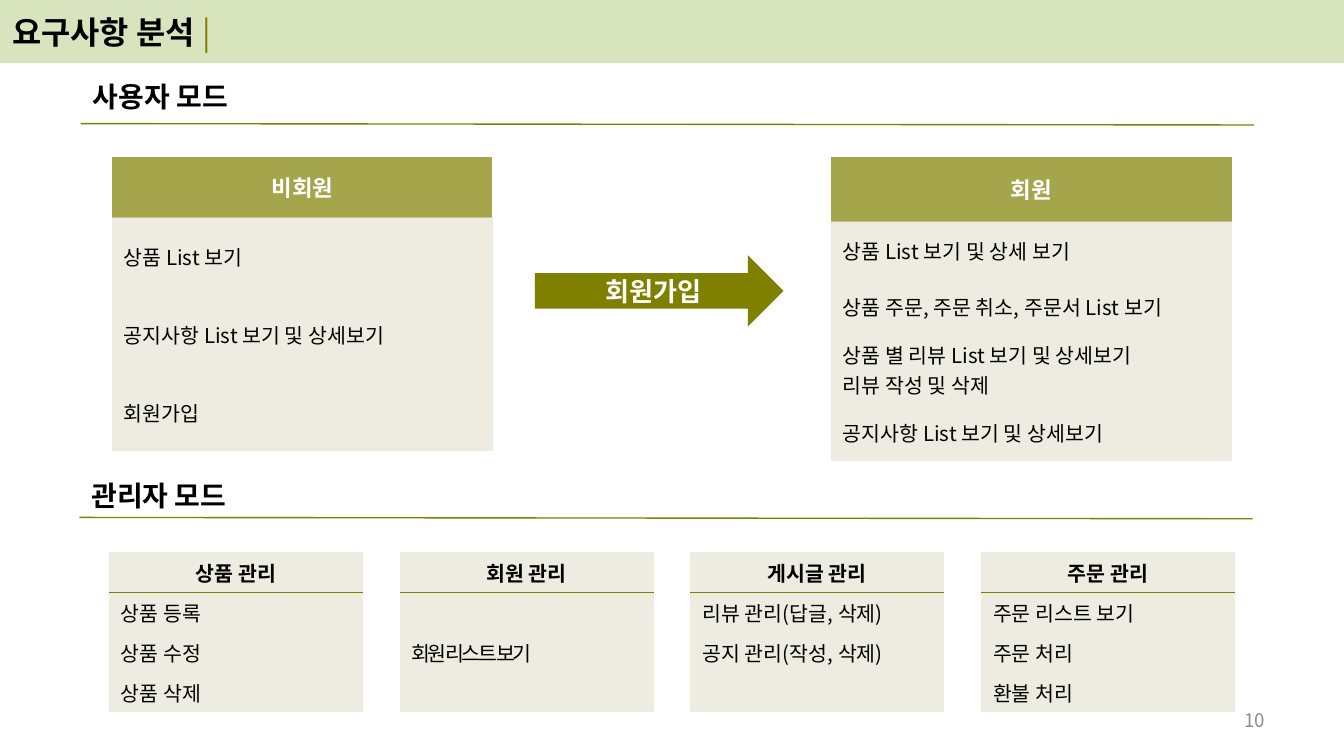
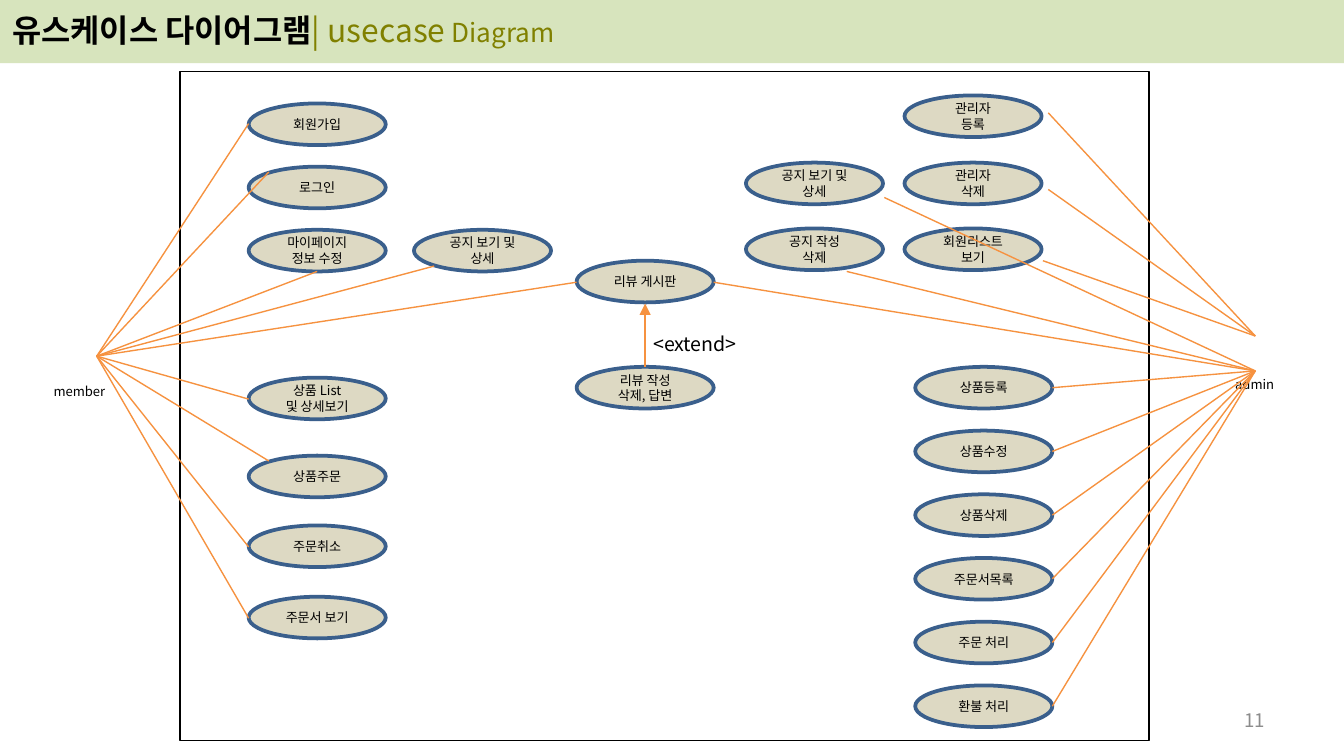
from dataclasses import dataclass

from lxml import etree
from pptx import Presentation
from pptx import util as u
from pptx.dml.color import RGBColor
from pptx.enum import shapes, text
from pptx.oxml.ns import qn


@dataclass(frozen=True)
class Theme:
    font: str = "Noto Sans CJK KR"
    black: str = "000000"
    white: str = "FFFFFF"
    olive: str = "808000"
    band: str = "D7E4BD"
    cell: str = "EEECE1"
    oval: str = "DDD9C3"
    oval_edge: str = "3A5F8C"
    link: str = "F69240"
    gray: str = "8C8C8C"
    title: float = 17
    section: float = 15
    large: float = 14
    header: float = 12
    body: float = 11
    extend: float = 10.5
    number: float = 10
    small: float = 7


theme = Theme()
LEFT, CENTER, RIGHT = text.PP_ALIGN.LEFT, text.PP_ALIGN.CENTER, text.PP_ALIGN.RIGHT
MIDDLE, TOP = text.MSO_ANCHOR.MIDDLE, text.MSO_ANCHOR.TOP


def write(frame, words, size, color=theme.black, bold=False, align=LEFT, anchor=MIDDLE):
    frame.text = words
    frame.word_wrap = True
    frame.vertical_anchor = anchor
    frame.margin_left = frame.margin_right = u.Inches(0.09)
    frame.margin_top = frame.margin_bottom = u.Inches(0.04)
    for para in frame.paragraphs:
        para.alignment = align
        font = para.font
        font.size, font.bold = u.Pt(size), bold
        font.color.rgb = RGBColor.from_string(color)
        font.name = theme.font
        etree.SubElement(font._element, qn("a:ea"), typeface=theme.font)


def connect(page, start, end, color, arrow=False):
    line = page.shapes.add_connector(
        shapes.MSO_CONNECTOR.STRAIGHT, *(u.Inches(value) for value in start + end))
    line.line.color.rgb = RGBColor.from_string(color)
    line.line.width = u.Pt(0.75)
    if arrow:
        etree.SubElement(line.line._get_or_add_ln(), qn("a:tailEnd"), type="triangle")
    etree.SubElement(line._element.spPr, qn("a:effectLst"))


deck = Presentation()
deck.slide_width = u.Inches(10)
deck.slide_height = deck.slide_width * 9 // 16

titles = [
    (0, [("요구사항 분석 ", theme.title, theme.black, True),
         ("|", theme.title, theme.olive, False)]),
    (-0.02, [("유스케이스 다이어그램", theme.title, theme.black, True),
             ("| usecase", theme.title, theme.olive, False),
             (" Diagram", theme.large, theme.olive, False)]),
]
pages = []
for number, (band_top, title) in enumerate(titles, 10):
    page = deck.slides.add_slide(deck.slide_layouts[6])
    band = page.shapes.add_shape(
        shapes.MSO_SHAPE.RECTANGLE, 0, u.Inches(band_top),
        deck.slide_width, u.Inches(0.47 - band_top))
    band.shadow.inherit = False
    band.fill.solid()
    band.fill.fore_color.rgb = RGBColor.from_string(theme.band)
    band.line.fill.background()
    write(band.text_frame, "", theme.title)
    for words, size, color, bold in title:
        span = band.text_frame.paragraphs[0].add_run()
        span.text = words
        span.font.size, span.font.bold = u.Pt(size), bold
        span.font.color.rgb = RGBColor.from_string(color)
    box = page.shapes.add_textbox(
        u.Inches(7.17), u.Inches(5.21), u.Inches(2.33), u.Inches(0.3))
    write(box.text_frame, str(number), theme.number, theme.gray, align=RIGHT)
    pages.append(page)
requirements, usecases = pages

for words, left, top, rule_top in [
    ("사용자 모드", 0.6, 0.55, 0.92),
    ("관리자 모드", 0.59, 3.52, 3.85),
]:
    box = requirements.shapes.add_textbox(
        u.Inches(left), u.Inches(top), u.Inches(1.3), u.Inches(0.34))
    write(box.text_frame, words, theme.section, bold=True, anchor=TOP)
    box.text_frame.word_wrap = False
    connect(requirements, (left, rule_top), (left + 8.73, rule_top + 0.01), theme.olive)

arrow = requirements.shapes.add_shape(
    shapes.MSO_SHAPE.RIGHT_ARROW, u.Inches(3.98), u.Inches(1.9), u.Inches(1.85), u.Inches(0.53))
arrow.shadow.inherit = False
arrow.fill.solid()
arrow.fill.fore_color.rgb = RGBColor.from_string(theme.olive)
arrow.line.fill.background()
write(arrow.text_frame, " 회원가입", theme.large, theme.white, True, CENTER)

user_tables = [
    (0.83, 2.84, [0.46, 0.58, 0.58, 0.58],
     ["비회원", "상품 List 보기", "공지사항 List 보기 및 상세보기", "회원가입"]),
    (6.18, 2.99, [0.49, 0.42, 0.42, 0.52, 0.42],
     ["회원", "상품 List 보기 및 상세 보기", "상품 주문, 주문 취소, 주문서 List 보기",
      "상품 별 리뷰 List 보기 및 상세보기\n리뷰 작성 및 삭제", "공지사항 List 보기 및 상세보기"]),
]
admin_columns = [
    ["상품 관리", "상품 등록", "상품 수정", "상품 삭제"],
    ["회원 관리", "회원 리스트 보기"],
    ["게시글 관리", "리뷰 관리(답글, 삭제)", "공지 관리(작성, 삭제)", ""],
    ["주문 관리", "주문 리스트 보기", "주문 처리", "환불 처리"],
]
tables = [(1.16, True, *table) for table in user_tables]
for index, entries in enumerate(admin_columns):
    rest = len(entries) - 1
    heights = [0.3] + [0.89 / rest] * rest
    tables.append((4.11, False, 0.81 + 2.163 * index, 1.89, heights, entries))

for top, for_users, left, width, heights, entries in tables:
    table = requirements.shapes.add_table(
        len(entries), 1, u.Inches(left), u.Inches(top),
        u.Inches(width), u.Inches(sum(heights))).table
    table.first_row = table.horz_banding = False
    style = table._tbl.tblPr.find(qn("a:tableStyleId"))
    style.text = "{2D5ABB26-0587-4C30-8999-92F81FD0307C}"
    for row, (words, height) in enumerate(zip(entries, heights)):
        table.rows[row].height = u.Inches(height)
        cell = table.cell(row, 0)
        is_header = row == 0
        cell.margin_left = cell.margin_right = u.Inches(0.09)
        cell.margin_top = cell.margin_bottom = u.Inches(0.04)
        cell.vertical_anchor = MIDDLE
        strong = is_header and for_users
        write(cell.text_frame, words,
              theme.header if strong else theme.body,
              theme.white if strong else theme.black,
              is_header, CENTER if is_header else LEFT)
        para = cell.text_frame.paragraphs[0]
        if not words:
            etree.SubElement(para._p, qn("a:endParaRPr"), sz=str(theme.body * 100))
        if words == "회원 리스트 보기":
            para.font._element.set("spc", "-150")
        borders = []
        if strong:
            borders = [(side, theme.white, 1) for side in ("lnL", "lnR", "lnT")]
        elif is_header:
            borders = [("lnB", theme.olive, 0.5)]
        properties = cell._tc.get_or_add_tcPr()
        for side, color, weight in borders:
            edge = etree.SubElement(properties, qn("a:" + side), w=str(u.Pt(weight)))
            paint = etree.SubElement(edge, qn("a:solidFill"))
            etree.SubElement(paint, qn("a:srgbClr"), val=color)
        cell.fill.solid()
        cell.fill.fore_color.rgb = RGBColor.from_string(theme.olive if strong else theme.cell)
        if strong:
            tint = properties.find(qn("a:solidFill")).find(qn("a:srgbClr"))
            etree.SubElement(tint, qn("a:alpha"), val="70000")

system = usecases.shapes.add_shape(
    shapes.MSO_SHAPE.RECTANGLE, u.Inches(1.34), u.Inches(0.53), u.Inches(7.21), u.Inches(4.98))
system.shadow.inherit = False
system.fill.solid()
system.fill.fore_color.rgb = RGBColor.from_string(theme.white)
system.line.color.rgb = RGBColor.from_string(theme.black)
system.line.width = u.Pt(0.75)

for words, left, top, width, height, size, align in [
    ("admin", 9.02, 2.76, 0.63, 0.18, theme.small, CENTER),
    ("member", 0.28, 2.81, 0.62, 0.22, theme.small, CENTER),
    ("<extend>", 4.77, 2.43, 1.18, 0.28, theme.extend, LEFT),
]:
    box = usecases.shapes.add_textbox(
        u.Inches(left), u.Inches(top), u.Inches(width), u.Inches(height))
    write(box.text_frame, words, size, align=align, anchor=TOP)

cases = [
    ("회원가입", 1.85, 0.77),
    ("로그인", 1.85, 1.24),
    ("마이페이지\n정보 수정", 1.85, 1.71),
    ("상품 List\n및 상세보기", 1.85, 2.81),
    ("상품주문", 1.85, 3.39),
    ("주문취소", 1.85, 3.91),
    ("주문서 보기", 1.85, 4.44),
    ("공지 보기 및 상세", 3.08, 1.71),
    ("리뷰 게시판", 4.29, 1.94),
    ("리뷰 작성\n삭제, 답변", 4.29, 2.73),
    ("공지 보기 및 상세", 5.55, 1.21),
    ("공지 작성 삭제", 5.55, 1.7),
    ("관리자\n등록", 6.73, 0.71),
    ("관리자\n삭제", 6.73, 1.21),
    ("회원리스트\n보기", 6.73, 1.7),
]
managed = ["상품등록", "상품수정", "상품삭제", "주문서목록", "주문 처리", "환불 처리"]
managed_tops = [2.73 + 0.474 * index for index in range(len(managed))]
cases += [(words, 6.81, top) for words, top in zip(managed, managed_tops)]
for words, left, top in cases:
    oval = usecases.shapes.add_shape(
        shapes.MSO_SHAPE.OVAL, u.Inches(left), u.Inches(top), u.Inches(1.02), u.Inches(0.31))
    oval.shadow.inherit = False
    oval.fill.solid()
    oval.fill.fore_color.rgb = RGBColor.from_string(theme.oval)
    oval.line.color.rgb = RGBColor.from_string(theme.oval_edge)
    oval.line.width = u.Pt(2)
    write(oval.text_frame, words, theme.small, align=CENTER)

links = {
    (0.72, 2.65): [(1.85, 0.92), (2, 1.28), (2.36, 2.02), (1.85, 2.97), (2, 3.43),
                   (1.85, 4.07), (1.85, 4.6), (3.23, 1.98), (4.29, 2.1)],
    (9.34, 2.5): [(7.8, 0.84), (7.8, 1.41), (7.76, 1.94)],
    (9.34, 2.76): [(5.31, 2.1), (6.3, 2.02), (6.58, 1.47)]
                  + [(7.83, top + 0.155) for top in managed_tops],
}
for actor, targets in links.items():
    for target in targets:
        connect(usecases, actor, target, theme.link)
connect(usecases, (4.8, 2.73), (4.8, 2.26), theme.link, arrow=True)

deck.save("out.pptx")
